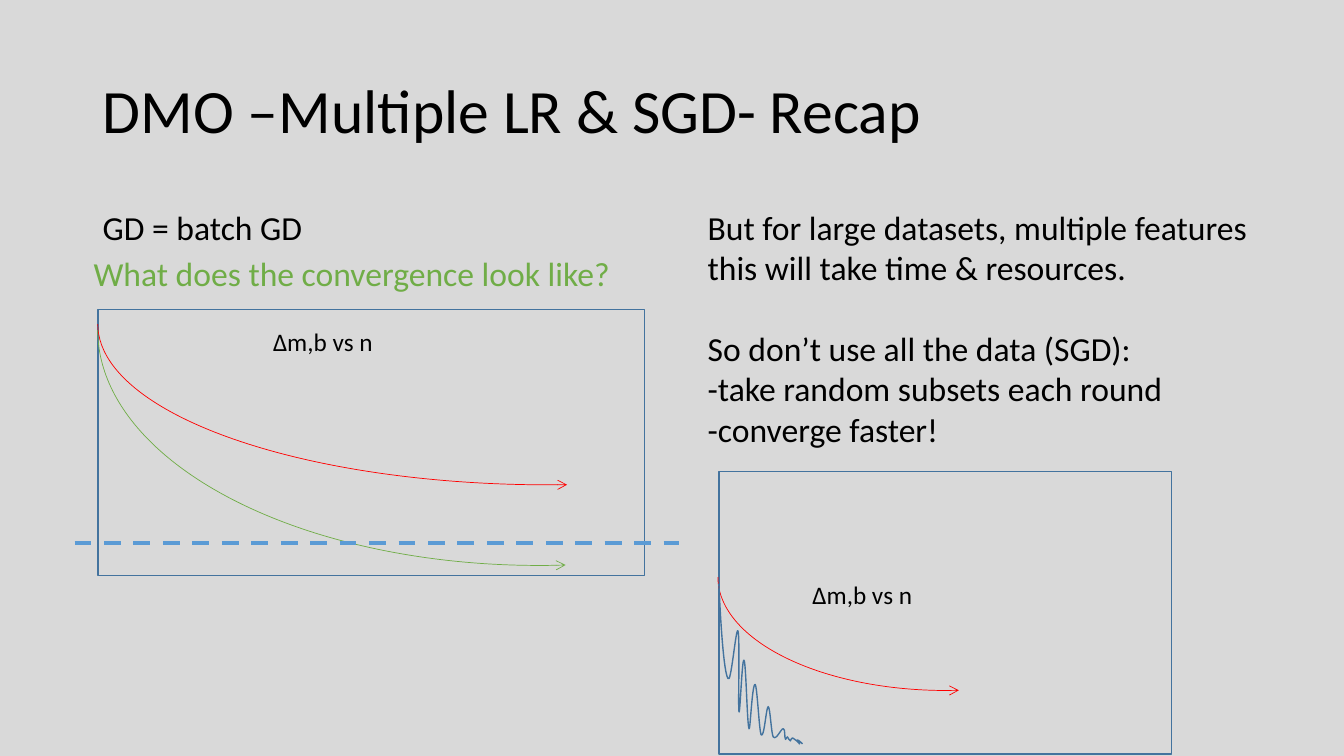
from lxml import etree
from pptx import Presentation
from pptx.dml.color import RGBColor
from pptx.enum.dml import MSO_LINE
from pptx.enum.shapes import MSO_CONNECTOR, MSO_SHAPE
from pptx.enum.text import MSO_ANCHOR
from pptx.oxml.ns import qn
from pptx.util import Inches, Pt

BLACK, RED, GREEN = "000000", "FF0000", "70AD47"
FRAME_BLUE, DASH_BLUE = "43739E", "5B9BD5"

# Noisy SGD descent: offsets in inches from its start, two controls and an end per curve
DESCENT = [
    (.02, .43, .05, .87, .09, .94), (.12, 1.02, .17, .42, .19, .47),
    (.21, .53, .19, 1.23, .20, 1.27), (.21, 1.32, .23, .73, .25, .76),
    (.27, .78, .28, 1.40, .30, 1.44), (.31, 1.48, .33, .99, .36, 1.00),
    (.38, 1.01, .40, 1.46, .42, 1.50), (.45, 1.54, .47, 1.22, .49, 1.22),
    (.51, 1.23, .52, 1.49, .54, 1.52), (.57, 1.56, .62, 1.43, .64, 1.44),
    (.66, 1.44, .65, 1.53, .66, 1.54), (.66, 1.56, .67, 1.52, .68, 1.52),
    (.69, 1.53, .70, 1.56, .71, 1.56), (.71, 1.56, .72, 1.53, .73, 1.53),
    (.75, 1.54, .80, 1.58, .80, 1.59), (.81, 1.59, .78, 1.55, .78, 1.55),
    (.79, 1.55, .81, 1.57, .83, 1.59),
]


def color(hex_string):
    return RGBColor.from_string(hex_string)


def style_outline(shape, hex_string, width):
    shape.shadow.inherit = False
    shape.fill.background()
    shape.line.color.rgb = color(hex_string)
    shape.line.width = Pt(width)


def add_text(shapes, box, lines, size, hex_string=BLACK, anchor=MSO_ANCHOR.TOP):
    text_frame = shapes.add_textbox(*map(Inches, box)).text_frame
    text_frame.word_wrap = True
    text_frame.vertical_anchor = anchor
    for index, line in enumerate(lines):
        paragraph = text_frame.paragraphs[0] if index == 0 else text_frame.add_paragraph()
        paragraph.text = line
        paragraph.font.name = "Calibri"
        paragraph.font.size = Pt(size)
        paragraph.font.color.rgb = color(hex_string)
    return text_frame


def add_frame(shapes, box):
    frame = shapes.add_shape(MSO_SHAPE.RECTANGLE, *map(Inches, box))
    style_outline(frame, FRAME_BLUE, 1)


def add_decay_arrow(shapes, box, hex_string):
    """Lower-left quarter of the ellipse in the box, with an arrow at the bottom."""
    arc = shapes.add_shape(MSO_SHAPE.ARC, *map(Inches, box))
    arc.adjustments[0] = 158.042
    arc.adjustments[1] = 0
    style_outline(arc, hex_string, 0.5)
    transform = arc._element.spPr.find(qn("a:xfrm"))
    transform.set("flipH", "1")
    transform.set("flipV", "1")
    line = arc._element.spPr.find(qn("a:ln"))
    etree.SubElement(line, qn("a:headEnd"), type="arrow")


def add_descent(shapes, left, top):
    points = [(Inches(left + x), Inches(top + y))
              for curve in DESCENT for x, y in zip(curve[::2], curve[1::2])]
    builder = shapes.build_freeform(Inches(left), Inches(top))
    builder.add_line_segments(points, close=False)
    descent = builder.convert_to_shape()
    style_outline(descent, FRAME_BLUE, 1)

    # Join each three straight steps into one Bézier curve
    steps = list(descent._element.iter(qn("a:lnTo")))
    for first in range(0, len(steps), 3):
        curve = etree.Element(qn("a:cubicBezTo"))
        steps[first].addprevious(curve)
        for step in steps[first:first + 3]:
            curve.append(step[0])
            step.getparent().remove(step)


def add_batch_plot(slide, left, top, width, height):
    shapes = slide.shapes.add_group_shape().shapes
    add_frame(shapes, (left, top, width, height))
    add_decay_arrow(shapes, (left, top - 1.45, 8.94, 3.19), RED)
    add_text(shapes, (left + 1.64, top + 0.12, 2.86, 0.4), ["Δm,b vs n"], 18)
    add_decay_arrow(shapes, (left, top - 2.13, 8.74, 4.67), GREEN)

    # Dashed threshold across the frame
    y = Inches(top + 2.32)
    threshold = slide.shapes.add_connector(
        MSO_CONNECTOR.STRAIGHT, Inches(left - 0.23), y, Inches(left + width + 0.34), y)
    threshold.line.color.rgb = color(DASH_BLUE)
    threshold.line.width = Pt(3)
    threshold.line.dash_style = MSO_LINE.DASH
    etree.SubElement(threshold._element.spPr, qn("a:effectLst"))


def add_stochastic_plot(slide, left, top, width, height):
    shapes = slide.shapes.add_group_shape().shapes
    add_frame(shapes, (left, top, width, height))
    add_decay_arrow(shapes, (left - 0.01, top - 0.08, 4.52, 2.25), RED)
    add_text(shapes, (left + 0.83, top + 1.02, 1.45, 0.28), ["Δm,b vs n"], 18)
    add_descent(shapes, left, top + 1.11)


def add_title(slide, box):
    title = add_text(slide.shapes, box, ["DMO –Multiple LR & SGD- Recap"], 44,
                     anchor=MSO_ANCHOR.MIDDLE)
    title.paragraphs[0].line_spacing = 0.9


def add_body(slide, box):
    body = add_text(slide.shapes, box, [
        "GD = batch GD\tBut for large datasets, multiple features",
        "\tthis will take time & resources.",
        "\tSo don’t use all the data (SGD):",
        "\t-take random subsets each round",
        "\t-converge faster!",
    ], 24)

    # One tab stop sets the right column
    for paragraph in body.paragraphs:
        tab_list = etree.Element(qn("a:tabLst"))
        etree.SubElement(tab_list, qn("a:tab"), pos=str(Inches(6)), algn="l")
        paragraph._p.pPr.find(qn("a:defRPr")).addprevious(tab_list)
    body.paragraphs[2].space_before = Pt(29)


def main():
    presentation = Presentation()
    presentation.slide_width = Inches(13.33)
    presentation.slide_height = Inches(7.5)
    slide = presentation.slides.add_slide(presentation.slide_layouts[6])
    slide.background.fill.solid()
    slide.background.fill.fore_color.rgb = color("D9D9D9")

    add_title(slide, (0.92, 0.4, 12.3, 1.45))
    add_body(slide, (0.92, 2, 12.42, 5.37))
    add_text(slide.shapes, (0.83, 2.46, 9.14, 0.5),
             ["What does the convergence look like?"], 24, GREEN)
    add_batch_plot(slide, 0.97, 3.07, 5.42, 2.64)
    add_stochastic_plot(slide, 7.13, 4.68, 4.49, 2.8)
    presentation.save("out.pptx")


if __name__ == "__main__":
    main()
